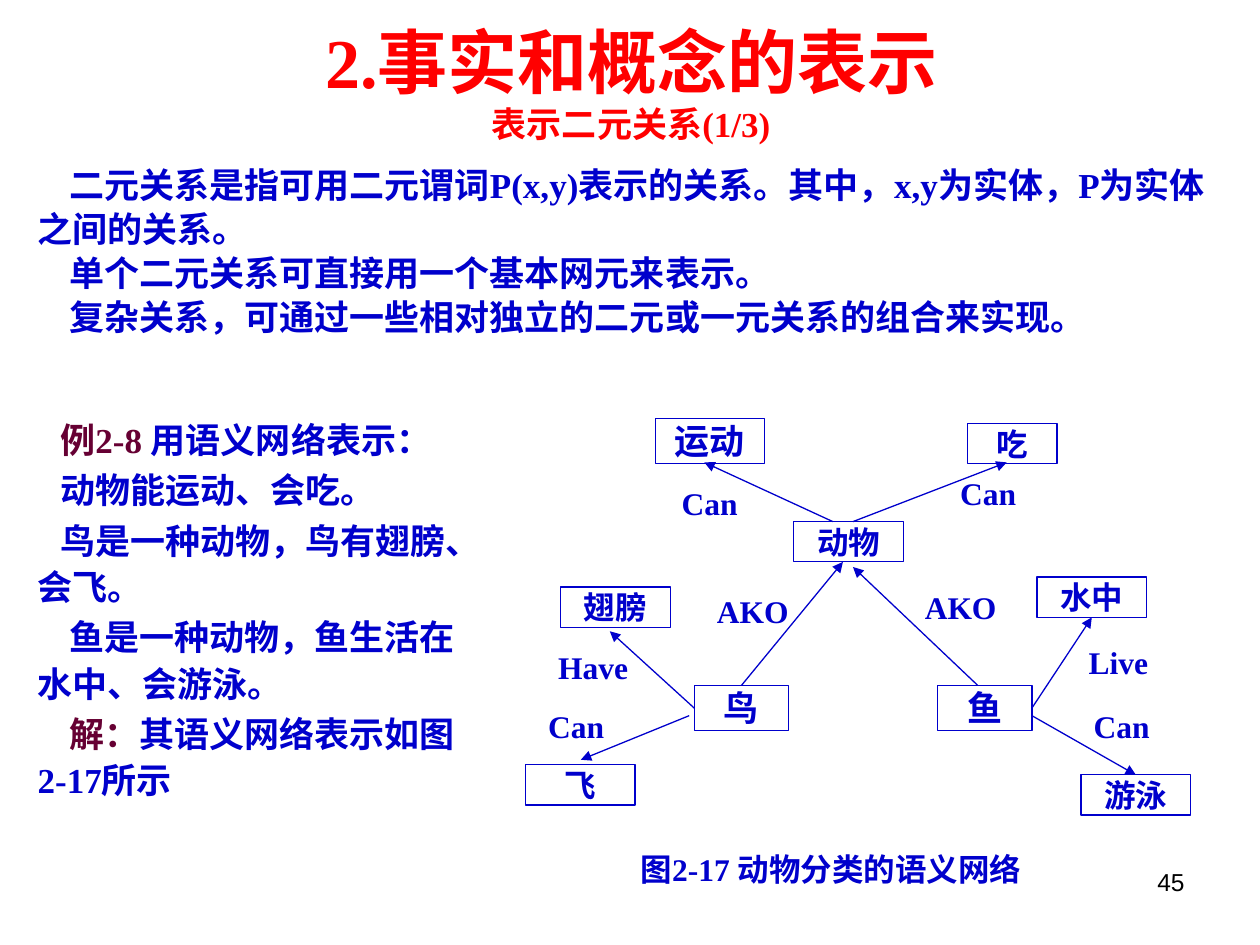
from lxml import etree
from pptx import Presentation
from pptx.dml.color import RGBColor
from pptx.enum.shapes import MSO_CONNECTOR as CONNECTOR, MSO_SHAPE as SHAPE
from pptx.enum.text import MSO_ANCHOR as ANCHOR, MSO_AUTO_SIZE as AUTO_SIZE, PP_ALIGN as ALIGN
from pptx.oxml.ns import qn
from pptx.util import Inches, Pt

BLUE = RGBColor(0x00, 0x00, 0xCC)
RED = RGBColor(0xFF, 0x00, 0x00)
PLUM = RGBColor(0x66, 0x00, 0x33)
BLACK = RGBColor(0x00, 0x00, 0x00)
SERIF, SANS = "Times New Roman", "Arial"
TOP, LEFT, BOTTOM, RIGHT = range(4)

presentation = Presentation()
presentation.slide_width, presentation.slide_height = Inches(10), Inches(7.5)
slide = presentation.slides.add_slide(presentation.slide_layouts[6])
shapes = slide.shapes

# Grid of 100 columns by 75 rows
COLUMN = presentation.slide_width / 100
ROW = presentation.slide_height / 75


def add_box(column, row, columns, rows, tight=False, outlined=False, grow=True):
    """Add a text box, or an outlined rectangle, and return it."""
    place = [round(n) for n in (column * COLUMN, row * ROW, columns * COLUMN, rows * ROW)]
    if outlined:
        shape = shapes.add_shape(SHAPE.RECTANGLE, *place)
        shape.shadow.inherit = False
        shape.fill.background()
        shape.line.color.rgb = BLUE
        shape.line.width = Pt(0.75)
    else:
        shape = shapes.add_textbox(*place)
    frame = shape.text_frame
    frame.word_wrap = True
    frame.vertical_anchor = ANCHOR.TOP
    if grow:
        frame.auto_size = AUTO_SIZE.SHAPE_TO_FIT_TEXT
    frame.margin_left = frame.margin_right = Inches(0.02 if tight else 0.1)
    frame.margin_top = frame.margin_bottom = Inches(0.01 if tight else 0.05)
    return shape


def write(paragraph, runs, size, name=SERIF, bold=True, align=ALIGN.LEFT):
    """Write (text, colour) runs into a paragraph."""
    paragraph.alignment = align
    paragraph.font.size = Pt(size)
    paragraph.font.name = name
    paragraph.font.bold = bold
    for text, color in runs:
        run = paragraph.add_run()
        run.text = text
        run.font.color.rgb = color


# Title with subtitle
title = add_box(5.1, 2.1, 90, 8.7, grow=False).text_frame
title.vertical_anchor = ANCHOR.MIDDLE
heading = title.paragraphs[0]
write(heading, [("2.事实和概念的表示", RED)], 40, align=ALIGN.CENTER)
heading.add_line_break()
subtitle = heading.add_run()
subtitle.text = "表示二元关系(1/3)"
subtitle.font.size = Pt(20)
subtitle.font.color.rgb = RED

# Text blocks: place, line spacing, paragraph gap, (first-line indent, runs)
text_blocks = [
    ((2, 12.3, 96.1, 15), 1.05, 0, [
        (0.25, [("二元关系是指可用二元谓词P(x,y)表示的关系。其中，x,y为实体，P为实体之间的关系。", BLUE)]),
        (0.25, [("单个二元关系可直接用一个基本网元来表示。", BLUE)]),
        (0.25, [("复杂关系，可通过一些相对独立的二元或一元关系的组合来实现。", BLUE)]),
    ]),
    ((2, 32.4, 35.1, 31.7), 1.1, 1.2, [
        (0.18, [("例2-8 ", PLUM), ("用语义网络表示：", BLUE)]),
        (0.18, [("动物能运动、会吃。", BLUE)]),
        (0.18, [("鸟是一种动物，鸟有翅膀、会飞。", BLUE)]),
        (0.25, [("鱼是一种动物，鱼生活在水中、会游泳。", BLUE)]),
        (0.25, [("解：", PLUM), ("其语义网络表示如图2-17所示", BLUE)]),
    ]),
]
for place, line_spacing, gap, lines in text_blocks:
    frame = add_box(*place).text_frame
    for index, (indent, runs) in enumerate(lines):
        paragraph = frame.add_paragraph() if index else frame.paragraphs[0]
        properties = paragraph._p.get_or_add_pPr()
        properties.set("marL", "0")
        properties.set("indent", str(Inches(indent)))
        paragraph.line_spacing = line_spacing
        paragraph.space_before = Pt(gap if index else 0)
        paragraph.space_after = Pt(gap)
        write(paragraph, runs, 20)

# Network nodes: name, column, row, columns, rows, text size, font
nodes = {}
for name, column, row, columns, rows, size, font in [
    ("运动", 52, 33.2, 8.7, 3.6, 20, SANS),
    ("吃", 76.8, 33.6, 7.1, 3.2, 18, SANS),
    ("动物", 63, 41.4, 8.7, 3.2, 18, SANS),
    ("鸟", 55.1, 54.4, 7.5, 3.6, 20, SANS),
    ("鱼", 74.4, 54.4, 7.5, 3.6, 20, SANS),
    ("翅膀", 44.5, 46.6, 8.7, 3.2, 18, SANS),
    ("水中", 82.3, 45.8, 8.7, 3.2, 18, SANS),
    ("飞", 41.7, 60.7, 8.7, 3.2, 18, SERIF),
    ("游泳", 85.8, 61.5, 8.7, 3.2, 18, SANS),
]:
    nodes[name] = add_box(column, row, columns, rows, tight=True, outlined=True)
    write(nodes[name].text_frame.paragraphs[0], [(name, BLUE)], size, font, align=ALIGN.CENTER)

# Arrows: start, end, and the node sides they join
for start, end, start_joint, end_joint in [
    ((66.1, 41.4), (55.9, 36.7), None, None),
    ((67.7, 41.4), (79.9, 36.7), None, None),
    ((59.1, 54.4), (66.9, 44.6), ("鸟", TOP), None),
    ((77.6, 54.4), (67.7, 45), None, None),
    ((55.1, 56.4), (48.4, 50.1), ("鸟", LEFT), None),
    ((54.7, 56.8), (46.1, 60.3), None, None),
    ((81.9, 56), (86.6, 48.9), ("鱼", RIGHT), ("水中", BOTTOM)),
    ((81.9, 56.8), (90.2, 61.5), None, ("游泳", TOP)),
]:
    arrow = shapes.add_connector(
        CONNECTOR.STRAIGHT,
        round(start[0] * COLUMN), round(start[1] * ROW),
        round(end[0] * COLUMN), round(end[1] * ROW))
    if start_joint:
        arrow.begin_connect(nodes[start_joint[0]], start_joint[1])
    if end_joint:
        arrow.end_connect(nodes[end_joint[0]], end_joint[1])
    arrow.line.color.rgb = BLUE
    arrow.line.width = Pt(0.75)
    etree.SubElement(arrow.line._get_or_add_ln(), qn("a:tailEnd"), type="triangle")
    etree.SubElement(arrow._element.spPr, qn("a:effectLst"))

# Relation labels
for label, column, row, columns in [
    ("Can", 53.9, 38.3, 5.9),
    ("Can", 76, 37.5, 5.5),
    ("AKO", 56.7, 46.9, 7.1),
    ("AKO", 73.2, 46.6, 6.7),
    ("Have", 44.1, 51.3, 6.7),
    ("Live", 86.2, 50.9, 5.9),
    ("Can", 43.3, 56, 5.9),
    ("Can", 86.6, 56, 5.9),
]:
    box = add_box(column, row, columns, 3.2, tight=True)
    write(box.text_frame.paragraphs[0], [(label, BLUE)], 18)

# Figure caption
caption = add_box(44.1, 67.4, 43.7, 3.2, tight=True)
write(caption.text_frame.paragraphs[0], [("图2-17 动物分类的语义网络", BLUE)], 18, align=ALIGN.CENTER)

# Page number
page_number = add_box(71.7, 68.3, 23.3, 5.2, grow=False)
write(page_number.text_frame.paragraphs[0], [("45", BLACK)], 14, SANS, False, ALIGN.RIGHT)

presentation.save("out.pptx")
